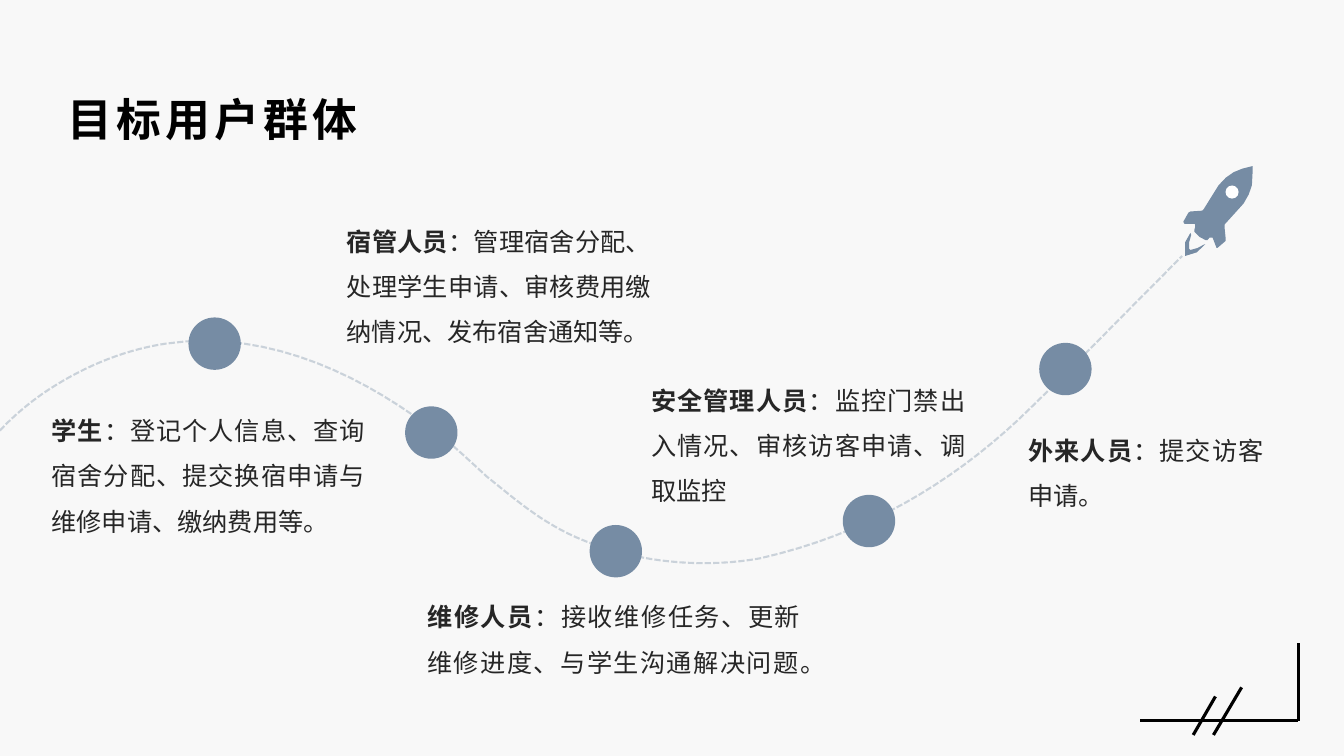
"""Builds the slide on target user groups along a rocket trail."""
from lxml.etree import SubElement
from pptx import Presentation
from pptx.dml.color import RGBColor
from pptx.enum.dml import MSO_LINE
from pptx.enum.shapes import MSO_CONNECTOR, MSO_SHAPE
from pptx.enum.text import MSO_ANCHOR, PP_ALIGN
from pptx.oxml.ns import qn
from pptx.util import Cm, Pt

FONT = "Noto Sans CJK SC"
PAPER = RGBColor(0xF8, 0xF8, 0xF8)
BLACK = RGBColor(0, 0, 0)
INK = RGBColor(0x26, 0x26, 0x26)
STEEL = RGBColor(0x76, 0x8C, 0xA4)
WHITE = RGBColor(0xFF, 0xFF, 0xFF)

deck = Presentation()
deck.slide_width, deck.slide_height = Cm(33.87), Cm(19.05)
slide = deck.slides.add_slide(deck.slide_layouts[6])
slide.background.fill.solid()
slide.background.fill.fore_color.rgb = PAPER
shapes = slide.shapes


def add_text(lead, rest="", *, left, top, width, height, size=18, color=INK, spacing=0,
             line=1.0, align=PP_ALIGN.LEFT, anchor=MSO_ANCHOR.TOP):
    """Places a text box with a bold lead and a regular remainder."""
    frame = shapes.add_textbox(Cm(left), Cm(top), Cm(width), Cm(height)).text_frame
    frame.word_wrap = True
    frame.vertical_anchor = anchor
    frame.margin_left = frame.margin_right = frame.margin_top = frame.margin_bottom = 0
    paragraph = frame.paragraphs[0]
    paragraph.alignment, paragraph.line_spacing = align, line
    for words, bold in ((lead, True), (rest, False)):
        if words:
            run = paragraph.add_run()
            run.text = words
            run.font.size, run.font.bold, run.font.name = Pt(size), bold, FONT
            run.font.color.rgb = color
            props = run._r.get_or_add_rPr()
            props.set("spc", str(spacing * 100))
            SubElement(props, qn("a:ea"), typeface=FONT)


def add_outline(points, close):
    """Draws a freeform through points given in centimetres."""
    start, *others = [(Cm(x), Cm(y)) for x, y in points]
    builder = shapes.build_freeform(*start)
    builder.add_line_segments(others, close=close)
    outline = builder.convert_to_shape()
    outline.shadow.inherit = False
    return outline


corner_strokes = [
    (28.73, 18.16, 32.72, 18.16),
    (30.63, 17.55, 30.07, 18.52),
    (31.29, 17.32, 30.58, 18.52),
    (32.72, 18.16, 32.72, 16.21),
]
for ends in corner_strokes:
    stroke = shapes.add_connector(MSO_CONNECTOR.STRAIGHT, *map(Cm, ends))
    stroke.line.color.rgb = BLACK
    stroke.line.width = Pt(2.25)
    SubElement(stroke._element.spPr, qn("a:effectLst"))

add_text("目标用户群体", left=1.7, top=1.7, width=30.48, height=1.96, size=32,
         color=BLACK, spacing=3, anchor=MSO_ANCHOR.BOTTOM)

trail_bends = [
    ((0.3, 10.52), (0.69, 10.19), (1.09, 9.91)),
    ((1.96, 9.32), (3, 8.84), (4.17, 8.66)),
    ((6.86, 8.26), (9.32, 9.58), (11.1, 10.97)),
    ((11.51, 11.3), (11.89, 11.66), (12.27, 12.01)),
    ((13.23, 12.78), (13.92, 13.39), (15.19, 13.79)),
    ((16.41, 14.2), (17.86, 14.3), (19.15, 14.07)),
    ((21.84, 13.46), (23.95, 12.17), (25.65, 10.59)),
    ((26.82, 9.47), (27.94, 8.31), (29.06, 7.19)),
]
STEPS = 16
trail_points = [(0, 10.85)]
for bend in trail_bends:
    controls = [trail_points[-1], *bend]
    for step in range(1, STEPS + 1):
        t = step / STEPS
        weights = ((1 - t) ** 3, 3 * t * (1 - t) ** 2, 3 * t ** 2 * (1 - t), t ** 3)
        trail_points.append(tuple(sum(w * c[axis] for w, c in zip(weights, controls))
                                  for axis in (0, 1)))
trail_points.append((29.79, 6.45))
trail = add_outline(trail_points, close=False)
trail.fill.background()
trail.line.color.rgb = STEEL
trail.line.width = Pt(1.5)
trail.line.dash_style = MSO_LINE.SQUARE_DOT
trail.line.dash_style = MSO_LINE.DASH
trail.line._ln.find(qn("a:prstDash")).set("val", "sysDash")
SubElement(trail.line._ln.find(".//" + qn("a:srgbClr")), qn("a:alpha"), val="35000")

rocket_body = [
    (31.57, 4.19), (31.57, 4.29), (31.55, 4.67), (31.47, 4.9), (31.34, 5.13), (30.86, 5.66),
    (30.86, 5.72), (30.89, 6.02), (30.89, 6.07), (30.68, 6.25), (30.66, 6.25), (30.56, 5.99),
    (30.48, 5.99), (30.43, 6.05), (30.38, 6.05), (30.23, 5.97), (30.1, 5.84), (30.1, 5.79),
    (30.12, 5.72), (30.12, 5.66), (30.1, 5.64), (29.85, 5.64), (29.82, 5.59), (29.95, 5.36),
    (30, 5.33), (30.3, 5.31), (30.33, 5.28), (30.71, 4.67), (30.89, 4.48), (31.09, 4.34),
    (31.31, 4.25), (31.55, 4.19),
]
rocket_flame = [
    (30.38, 6.15), (30.16, 6.36), (29.87, 6.45), (29.87, 6.1), (30, 5.87), (30.02, 5.92),
    (29.97, 6.1), (29.97, 6.27), (30, 6.3), (30.18, 6.25), (30.33, 6.17),
]
for part in (rocket_body, rocket_flame):
    piece = add_outline(part, close=True)
    piece.fill.solid()
    piece.fill.fore_color.rgb = STEEL
    piece.line.fill.background()

STOP, PORTHOLE = 1.32, 0.33
discs = [
    (5.41, 8.66, STOP, STEEL),
    (10.87, 10.9, STOP, STEEL),
    (15.52, 13.89, STOP, STEEL),
    (21.9, 13.13, STOP, STEEL),
    (26.85, 9.3, STOP, STEEL),
    (31.05, 4.84, PORTHOLE, WHITE),
]
for center_x, center_y, diameter, color in discs:
    disc = shapes.add_shape(MSO_SHAPE.OVAL, Cm(center_x - diameter / 2),
                            Cm(center_y - diameter / 2), Cm(diameter), Cm(diameter))
    disc.shadow.inherit = False
    disc.fill.solid()
    disc.fill.fore_color.rgb = color
    disc.line.fill.background()

user_groups = [
    ("学生", "：登记个人信息、查询宿舍分配、提交换宿申请与维修申请、缴纳费用等。", 1.3, 10.08, 7.9),
    ("宿管人员", "：管理宿舍分配、处理学生申请、审核费用缴纳情况、发布宿舍通知等。", 8.74, 5.31, 7.67),
    ("维修人员", "：接收维修任务、更新维修进度、与学生沟通解决问题。", 10.77, 14.78, 9.4),
    ("安全管理人员", "：监控门禁出入情况、审核访客申请、调取监控", 16.41, 9.32, 7.92),
    ("外来人员", "：提交访客申请。", 25.91, 10.59, 5.94),
]
for role, duties, left, top, width in user_groups:
    add_text(role, duties, left=left, top=top, width=width, height=2.69,
             line=1.5, align=PP_ALIGN.JUSTIFY)

deck.save("out.pptx")
